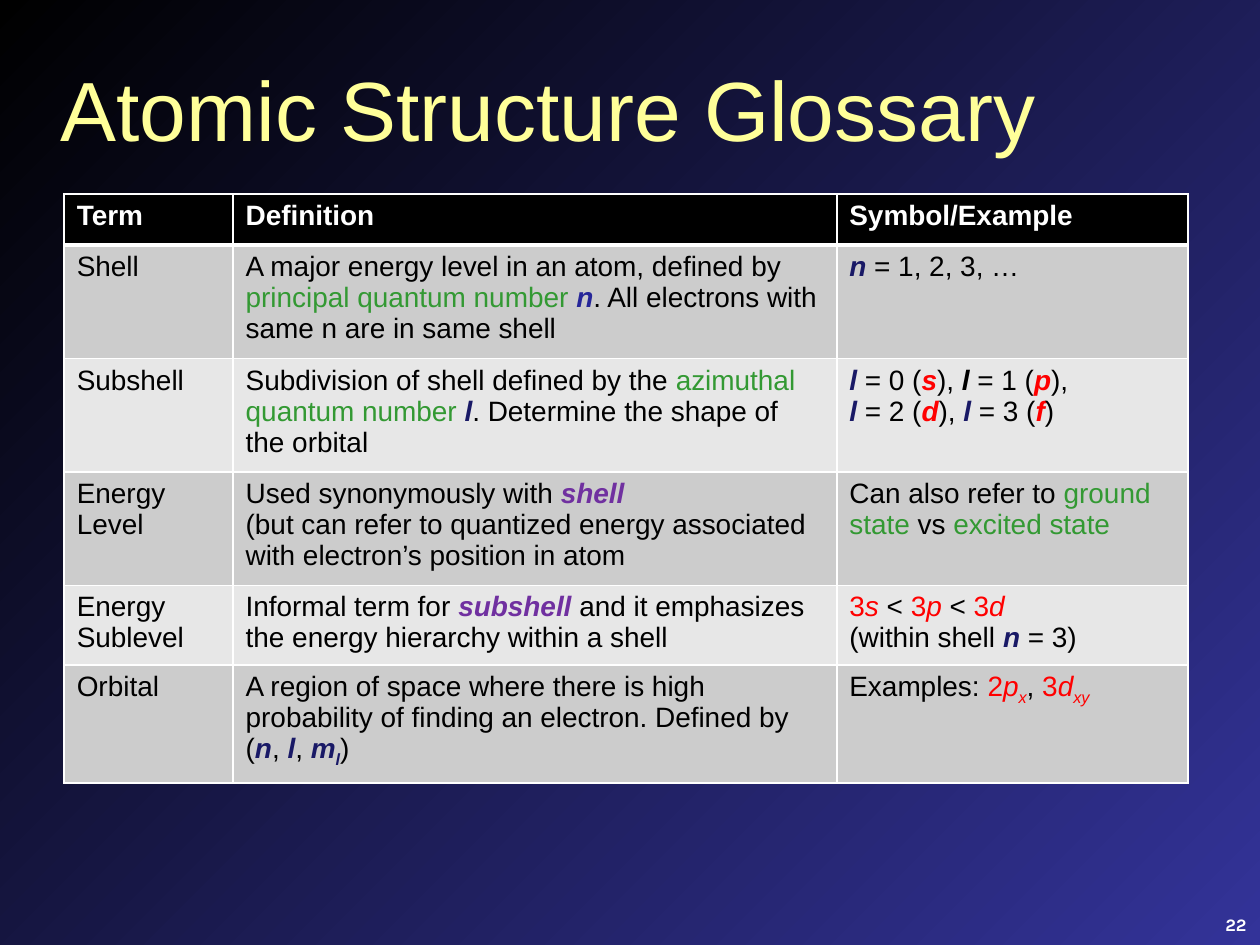
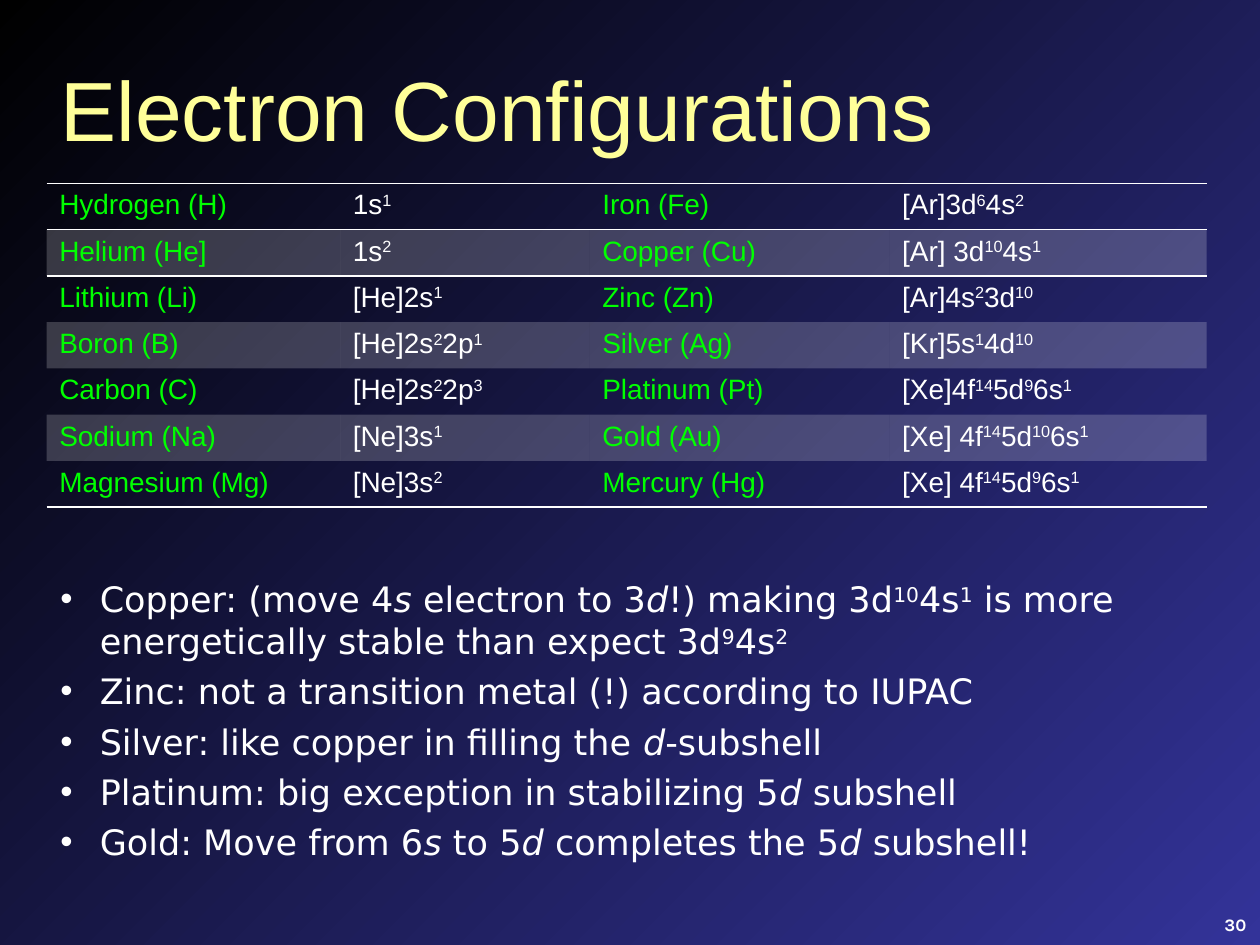
from lxml.etree import SubElement
from pptx import Presentation
from pptx.dml.color import RGBColor
from pptx.enum.text import MSO_ANCHOR, MSO_AUTO_SIZE, PP_ALIGN
from pptx.oxml.ns import qn
from pptx.util import Pt

COLORS = {
    "black": "000000", "indigo": "333399", "title": "FFFF99", "white": "FFFFFF",
    "green": "339933", "blue": "262699", "navy": "191966", "red": "FF0000",
    "purple": "7030A0", "lime": "00FF00", "dark band": "CCCCCC", "light band": "E7E7E7",
}
NO_GRID_STYLE = "{2D5ABB26-0587-4C30-8999-92F81FD0307C}"

# Text formats: font attributes, plus "color" and "baseline"
TITLE = {"name": "Arial", "size": Pt(48), "bold": False, "color": "title"}
PAGE_NUMBER = {"name": "Karla", "size": Pt(10), "bold": True, "color": "white"}
HEADING = {"name": "Arial", "size": Pt(16), "bold": True, "color": "white"}
GLOSSARY = {"name": "Arial", "size": Pt(16), "color": "black"}
ELEMENT = {"name": "Arial", "size": Pt(16), "color": "lime"}
CONFIGURATION = {"name": "Arial", "size": Pt(16), "color": "white"}
REMARK = {"name": "DejaVu Sans", "size": Pt(20), "color": "white"}

STRONG = {"bold": True, "italic": True}
ACCENTS = {
    "key": {"color": "green"},
    "first number": {"color": "blue", **STRONG},
    "number": {"color": "navy", **STRONG},
    "number sub": {"color": "navy", "baseline": "-25000", **STRONG},
    "plain number": STRONG,
    "letter": {"color": "red", **STRONG},
    "synonym": {"color": "purple", **STRONG},
    "orbital": {"color": "red"},
    "orbital letter": {"color": "red", "italic": True},
    "orbital sub": {"color": "red", "italic": True, "baseline": "-25000"},
    "italic": {"italic": True},
    "power": {"baseline": "30000"},
}


def powers(text):
    """Every second part between bars is a superscript."""
    return [(part, "power") if i % 2 else part for i, part in enumerate(text.split("|"))]


GLOSSARY_HEADINGS = ["Term", "Definition", "Symbol/Example"]
GLOSSARY_ROWS = [
    ["Shell",
     ["A major energy level in an atom, defined by ", ("principal quantum number ", "key"),
      ("n", "first number"), ". All electrons with same n are in same shell"],
     [("n", "number"), " = 1, 2, 3, …"]],
    ["Subshell",
     ["Subdivision of shell defined by the ", ("azimuthal quantum number ", "key"),
      ("l", "number"), ". Determine the shape of the orbital"],
     [("l", "number"), " = 0 (", ("s", "letter"), "), ",
      ("l", "plain number"), " = 1 (", ("p", "letter"), "),", "\n",
      ("l", "number"), " = 2 (", ("d", "letter"), "), ",
      ("l", "number"), " = 3 (", ("f", "letter"), ")"]],
    ["Energy Level",
     ["Used synonymously with ", ("shell", "synonym"), "\n",
      "(but can refer to quantized energy associated with electron’s position in atom"],
     ["Can also refer to ", ("ground state ", "key"), "vs ", ("excited state", "key")]],
    ["Energy Sublevel",
     ["Informal term for ", ("subshell", "synonym"),
      " and it emphasizes the energy hierarchy within a shell"],
     [("3", "orbital"), ("s", "orbital letter"), " < ",
      ("3", "orbital"), ("p", "orbital letter"), " < ",
      ("3", "orbital"), ("d", "orbital letter"), "\n",
      "(within shell ", ("n", "number"), " = 3)"]],
    ["Orbital",
     ["A region of space where there is high probability of finding an electron. Defined by (",
      ("n", "number"), ", ", ("l", "number"), ", ", ("m", "number"), ("l", "number sub"), ")"],
     ["Examples: ", ("2", "orbital"), ("p", "orbital letter"), ("x", "orbital sub"), ", ",
      ("3", "orbital"), ("d", "orbital letter"), ("xy", "orbital sub")]],
]

ELEMENT_ROWS = [
    ["Hydrogen (H)", "1s|1", "Iron (Fe)", "[Ar]3d|6|4s|2"],
    ["Helium (He]", "1s|2", "Copper (Cu)", "[Ar] 3d|10|4s|1"],
    ["Lithium (Li)", "[He]2s|1", "Zinc (Zn)", "[Ar]4s|2|3d|10"],
    ["Boron (B)", "[He]2s|2|2p|1", "Silver (Ag)", "[Kr]5s|1|4d|10"],
    ["Carbon (C)", "[He]2s|2|2p|3", "Platinum (Pt)", "[Xe]4f|14|5d|9|6s|1"],
    ["Sodium (Na)", "[Ne]3s|1", "Gold (Au)", "[Xe] 4f|14|5d|10|6s|1"],
    ["Magnesium (Mg)", "[Ne]3s|2", "Mercury (Hg)", "[Xe] 4f|14|5d|9|6s|1"],
]
REMARKS = [
    ["Copper: (move 4", ("s", "italic"), " electron to 3", ("d", "italic"),
     *powers("!) making 3d|10|4s|1| is more energetically stable than expect 3d|9|4s|2")],
    ["Zinc: not a transition metal (!) according to IUPAC"],
    ["Silver: like copper in filling the ", ("d", "italic"), "-subshell"],
    ["Platinum: big exception in stabilizing 5", ("d", "italic"), " subshell"],
    ["Gold: Move from 6", ("s", "italic"), " to 5", ("d", "italic"),
     " completes the 5", ("d", "italic"), " subshell!"],
]


def rgb(color):
    return RGBColor.from_string(COLORS[color])


def write(paragraph, content, base):
    """Add runs: a plain string takes the base format, a pair adds an accent."""
    for part in [content] if isinstance(content, str) else content:
        if part == "\n":
            paragraph.add_line_break()
            SubElement(paragraph._p[-1], qn("a:rPr"), sz=str(int(base["size"].pt * 100)))
            continue
        text, accent = (part, None) if isinstance(part, str) else part
        run = paragraph.add_run()
        run.text = text
        for key, value in {**base, **ACCENTS.get(accent, {})}.items():
            if key == "color":
                run.font.color.rgb = rgb(value)
            elif key == "baseline":
                run._r.get_or_add_rPr().set("baseline", value)
            else:
                setattr(run.font, key, value)


def paint_background(master):
    fill = master.background.fill
    fill.gradient()
    fill.gradient_angle = 315
    for stop, position, color in zip(fill.gradient_stops, (0, 1), ("black", "indigo")):
        stop.position = position
        stop.color.rgb = rgb(color)


def add_text_box(slide, left, top, width, height, anchor):
    frame = slide.shapes.add_textbox(Pt(left), Pt(top), Pt(width), Pt(height)).text_frame
    frame.word_wrap = True
    frame.vertical_anchor = anchor
    return frame


def add_titled_slide(deck, heading, number):
    slide = deck.slides.add_slide(deck.slide_layouts[5])
    title = slide.shapes.title
    place = {"left": 27.4, "top": 28.8, "width": 663, "height": 65.5}
    for side, length in place.items():
        setattr(title, side, Pt(length))
    frame = title.text_frame
    frame.auto_size = MSO_AUTO_SIZE.NONE
    frame.vertical_anchor = MSO_ANCHOR.MIDDLE
    frame.paragraphs[0].alignment = PP_ALIGN.LEFT
    write(frame.paragraphs[0], heading, TITLE)

    page = add_text_box(slide, 690.5, 515.5, 28.8, 25.2, MSO_ANCHOR.MIDDLE).paragraphs[0]
    page.alignment = PP_ALIGN.RIGHT
    write(page, number, PAGE_NUMBER)
    return slide


def add_plain_table(slide, left, top, widths, row_height, row_count):
    frame = slide.shapes.add_table(row_count, len(widths), Pt(left), Pt(top),
                                   Pt(sum(widths)), Pt(row_height * row_count))
    table = frame.table
    table._tbl.tblPr.find(qn("a:tableStyleId")).text = NO_GRID_STYLE
    table.horz_banding = False
    for column, width in zip(table.columns, widths):
        column.width = Pt(width)
    return table


def fill_cell(cell, content, base, borders, color=None, opacity=100):
    """Borders map a side (L, R, T, B, in that order) to a white line's width."""
    properties = cell._tc.get_or_add_tcPr()
    for side, width in borders.items():
        line = SubElement(properties, qn(f"a:ln{side}"), w=str(Pt(width)))
        SubElement(SubElement(line, qn("a:solidFill")), qn("a:srgbClr"), val=COLORS["white"])
    if color:
        cell.fill.solid()
        cell.fill.fore_color.rgb = rgb(color)
        if opacity < 100:
            tint = properties.find(qn("a:solidFill")).find(qn("a:srgbClr"))
            SubElement(tint, qn("a:alpha"), val=str(opacity * 1000))
    else:
        cell.fill.background()
    write(cell.text_frame.paragraphs[0], content, base)


def add_glossary(slide):
    rows = [GLOSSARY_HEADINGS, *GLOSSARY_ROWS]
    table = add_plain_table(slide, 36.7, 110.9, [96.5, 345, 200.8], 29.2, len(rows))
    for r, row in enumerate(rows):
        base = GLOSSARY if r else HEADING
        band = ("dark band" if r % 2 else "light band") if r else "black"
        borders = {"L": 1, "R": 1, "T": 3 if r == 1 else 1, "B": 1 if r else 3}
        for c, content in enumerate(row):
            fill_cell(table.cell(r, c), content, base, borders, band)


def add_configurations(slide):
    last = len(ELEMENT_ROWS) - 1
    table = add_plain_table(slide, 26.7, 104.8, [167.7, 142.6, 171.4, 181.2], 22.3, last + 1)
    for r, row in enumerate(ELEMENT_ROWS):
        borders = {0: {"T": 1, "B": 1}, 1: {"T": 1}, last: {"B": 1}}.get(r, {})
        band = "white" if r % 2 else None
        for c, text in enumerate(row):
            base = CONFIGURATION if c % 2 else ELEMENT
            fill_cell(table.cell(r, c), powers(text), base, borders, band, 20)


def add_remarks(slide):
    frame = add_text_box(slide, 27.4, 326.5, 666, 196, MSO_ANCHOR.TOP)
    for i, remark in enumerate(REMARKS):
        paragraph = frame.add_paragraph() if i else frame.paragraphs[0]
        properties = paragraph._p.get_or_add_pPr()
        properties.set("marL", str(Pt(22.5)))
        properties.set("indent", str(Pt(-22.5)))
        SubElement(properties, qn("a:buFont"), typeface="Arial")
        SubElement(properties, qn("a:buChar"), char="•")
        paragraph.space_before = Pt(4.7 if i else 0)
        write(paragraph, remark, REMARK)


def main():
    deck = Presentation()
    deck.slide_width, deck.slide_height = Pt(720), Pt(540)
    paint_background(deck.slide_master)

    # Glossary of terms
    add_glossary(add_titled_slide(deck, "Atomic Structure Glossary", "22"))

    # Configurations by element, with remarks on the exceptions
    configurations = add_titled_slide(deck, "Electron Configurations", "30")
    add_configurations(configurations)
    add_remarks(configurations)

    deck.save("out.pptx")


if __name__ == "__main__":
    main()
